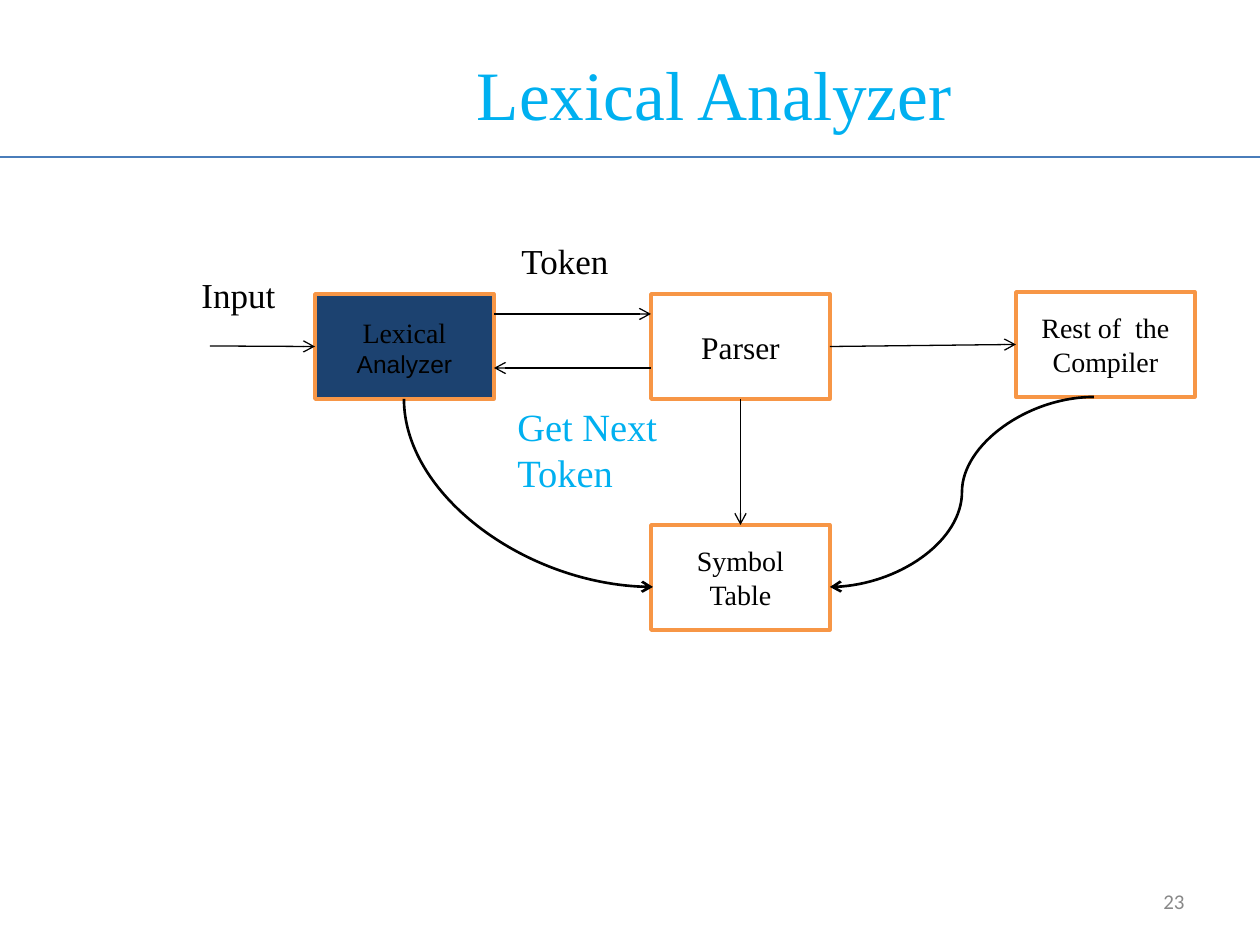
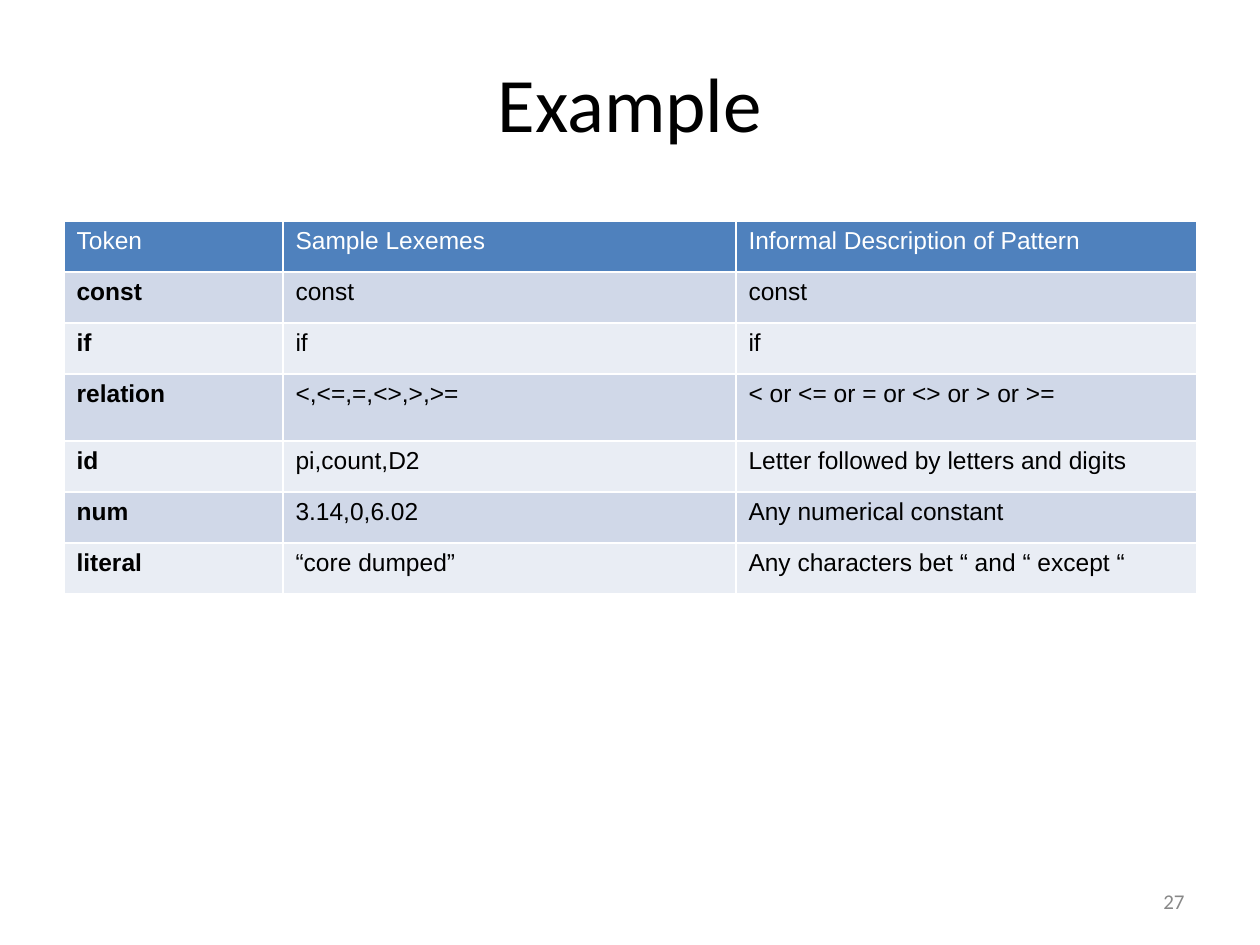
from lxml.etree import SubElement
from pptx import Presentation
from pptx.dml.color import RGBColor
from pptx.enum.shapes import MSO_CONNECTOR as Link, MSO_SHAPE as Preset
from pptx.enum.text import MSO_ANCHOR as Anchor, PP_ALIGN as Align
from pptx.oxml import parse_xml
from pptx.oxml.ns import nsdecls, qn
from pptx.util import Emu, Pt

BLACK = RGBColor(0x00, 0x00, 0x00)
WHITE = RGBColor(0xFF, 0xFF, 0xFF)
SKY = RGBColor(0x00, 0xB0, 0xF0)
NAVY = RGBColor(0x1C, 0x42, 0x70)
ORANGE = RGBColor(0xF7, 0x96, 0x46)
RULE_BLUE = RGBColor(0x4A, 0x7D, 0xBA)
HEADER_BLUE = RGBColor(0x4F, 0x81, 0xBD)
BAND_DARK = RGBColor(0xD0, 0xD8, 0xE8)
BAND_LIGHT = RGBColor(0xE9, 0xED, 0xF4)
GRAY = RGBColor(0x88, 0x88, 0x88)

SERIF, SANS, BODY = "Times New Roman", "Arial", "Calibri"
TOP, LEFT, BOTTOM, RIGHT = range(4)
BOX_WIDTH, BOX_HEIGHT = 179, 105


def px(length):
    return Emu(round(length * 914400 / 126))


def style_font(font, size, name, color, bold=False):
    font.size, font.name, font.bold = Pt(size), name, bold
    font.color.rgb = color


class Deck:
    def __init__(self):
        self.presentation = Presentation()
        self.presentation.slide_width = px(1260)
        self.presentation.slide_height = px(945)
        self.slide = None

    def add_slide(self, number):
        self.slide = self.presentation.slides.add_slide(self.presentation.slide_layouts[6])
        self.text(903, 876, 294, 50, str(number), 12, BODY, GRAY, Align.RIGHT, Anchor.MIDDLE)

    def text(self, x, y, width, height, words, size, name=SERIF, color=BLACK,
             align=Align.LEFT, anchor=Anchor.TOP):
        shape = self.slide.shapes.add_textbox(px(x), px(y), px(width), px(height))
        frame = shape.text_frame
        frame.word_wrap = True
        frame.vertical_anchor = anchor
        paragraph = frame.paragraphs[0]
        paragraph.text, paragraph.alignment = words, align
        style_font(paragraph.font, size, name, color)

    def title(self, x, y, width, height, words, size, name, color):
        self.text(x, y, width, height, words, size, name, color, Align.CENTER, Anchor.MIDDLE)

    def box(self, x, y, *runs, fill=WHITE):
        shape = self.slide.shapes.add_shape(
            Preset.RECTANGLE, px(x), px(y), px(BOX_WIDTH), px(BOX_HEIGHT))
        shape.shadow.inherit = False
        shape.fill.solid()
        shape.fill.fore_color.rgb = fill
        shape.line.color.rgb, shape.line.width = ORANGE, Pt(2)
        shape.text_frame.vertical_anchor = Anchor.MIDDLE
        paragraph = shape.text_frame.paragraphs[0]
        paragraph.alignment = Align.CENTER
        for words, size, name in runs:
            run = paragraph.add_run()
            run.text = words
            style_font(run.font, size, name, BLACK)
        return shape

    def line(self, x1, y1, x2, y2, color=BLACK, width=0.75, kind=Link.STRAIGHT, arrow=True):
        connector = self.slide.shapes.add_connector(kind, px(x1), px(y1), px(x2), px(y2))
        connector.line.color.rgb, connector.line.width = color, Pt(width)
        properties = connector._element.spPr
        if arrow:
            SubElement(properties.find(qn("a:ln")), qn("a:tailEnd"), type="arrow")
        SubElement(properties, qn("a:effectLst"))
        return connector

    def join(self, start, start_side, end, end_side):
        connector = self.line(0, 0, 0, 0)
        connector.begin_connect(start, start_side)
        connector.end_connect(end, end_side)

    def quarter_curve(self, x1, y1, x2, y2):
        middle_x, middle_y = (x1 + x2) / 2, (y1 + y2) / 2
        half_width, half_height = (x2 - x1) / 2, (y2 - y1) / 2
        connector = self.line(middle_x + half_height, middle_y - half_width,
                              middle_x - half_height, middle_y + half_width,
                              width=1.5, kind=Link.CURVE)
        properties = connector._element.spPr
        properties.find(qn("a:xfrm")).set("rot", str(270 * 60000))
        properties.find(qn("a:prstGeom")).set("prst", "curvedConnector2")

    def table(self, x, y, widths, heights, rows):
        table = self.slide.shapes.add_table(
            len(rows), len(widths), px(x), px(y), px(sum(widths)), px(sum(heights))).table
        for column, width in zip(table.columns, widths):
            column.width = px(width)
        for row, height in zip(table.rows, heights):
            row.height = px(height)
        for r, words in enumerate(rows):
            fill = HEADER_BLUE if r == 0 else (BAND_LIGHT, BAND_DARK)[r % 2]
            for c, word in enumerate(words):
                cell = table.cell(r, c)
                cell.fill.solid()
                cell.fill.fore_color.rgb = fill
                paragraph = cell.text_frame.paragraphs[0]
                paragraph.text = word
                style_font(paragraph.font, 14, SANS, BLACK if r else WHITE, r > 0 and c == 0)
                self.cell_borders(cell)

    def cell_borders(self, cell):
        properties = cell._tc.get_or_add_tcPr()
        for index, side in enumerate(("lnL", "lnR", "lnT", "lnB")):
            properties.insert(index, parse_xml(
                f'<a:{side} {nsdecls("a")} w="{Pt(1)}"><a:solidFill>'
                f'<a:srgbClr val="{WHITE}"/></a:solidFill></a:{side}>'))


def build_lexical_analyzer(deck):
    deck.add_slide(23)
    deck.title(198, 44, 1033, 98, "Lexical Analyzer", 39.6, SERIF, SKY)
    deck.line(0, 157, 1260, 157, RULE_BLUE, arrow=False)

    rest = deck.box(1016, 292, ("Rest of  the Compiler", 16, SERIF))
    lexer = deck.box(315, 294, ("Lexical", 16, SERIF), (" Analyzer", 14, SANS), fill=NAVY)
    parser = deck.box(651, 294, ("Parser", 18, SERIF))
    symbols = deck.box(651, 525, ("Symbol Table", 16, SERIF))

    deck.line(210, 346, 315, 346).end_connect(lexer, LEFT)
    deck.join(parser, BOTTOM, symbols, TOP)
    deck.join(parser, RIGHT, rest, LEFT)
    deck.line(494, 314, 651, 314)
    deck.line(651, 368, 494, 368)
    deck.quarter_curve(404, 399, 653, 587)
    deck.line(1094, 397, 830, 587, width=1.5, kind=Link.CURVE)

    deck.text(509, 233, 126, 55, "Token", 20)
    deck.text(505, 397, 210, 106, "Get Next Token", 22, color=SKY)
    deck.text(189, 267, 126, 55, "Input", 20)


def build_example(deck):
    deck.add_slide(27)
    deck.title(63, 23, 1134, 158, "Example", 44, BODY, BLACK)
    deck.table(64, 221, (219, 453, 461), (51, 51, 51, 67, 51, 51, 51), (
        ("Token", "Sample Lexemes", "Informal Description of Pattern"),
        ("const", "const", "const"),
        ("if", "if", "if"),
        ("relation", "<,<=,=,<>,>,>=", "< or <= or = or <> or > or >="),
        ("id", "pi,count,D2", "Letter followed by letters and digits"),
        ("num", "3.14,0,6.02", "Any numerical constant"),
        ("literal", "“core dumped”", "Any characters bet “ and “ except “"),
    ))


def main():
    deck = Deck()
    build_lexical_analyzer(deck)
    build_example(deck)
    deck.presentation.save("out.pptx")


if __name__ == "__main__":
    main()
